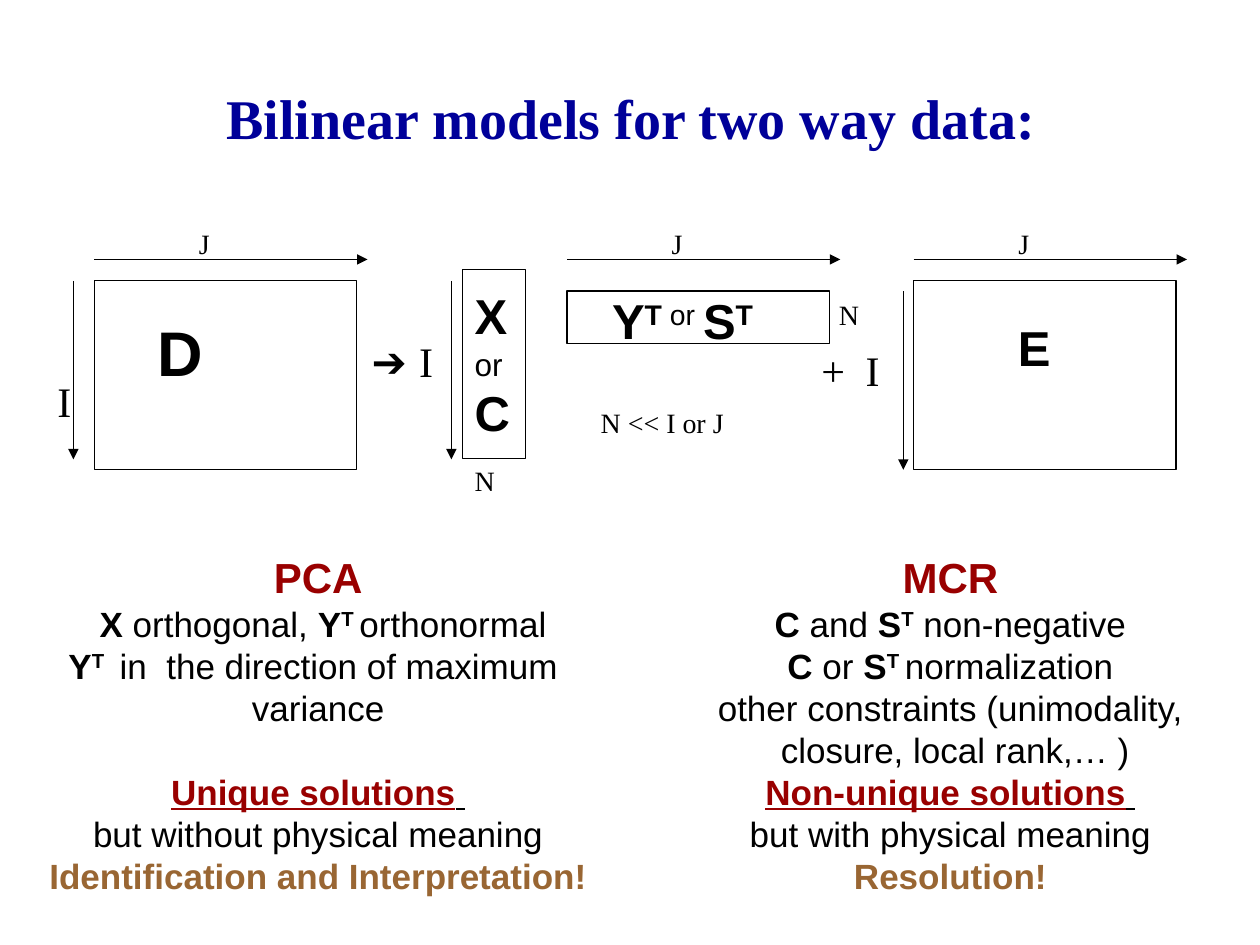
from lxml import etree
from pptx import Presentation
from pptx.dml.color import RGBColor
from pptx.enum.shapes import MSO_CONNECTOR, MSO_SHAPE
from pptx.enum.text import PP_ALIGN
from pptx.oxml.ns import qn
from pptx.util import Cm, Pt

RECTANGLE = MSO_SHAPE.RECTANGLE
STRAIGHT = MSO_CONNECTOR.STRAIGHT
LEFT = PP_ALIGN.LEFT
CENTER = PP_ALIGN.CENTER

SANS = "Arial"
SERIF = "Times New Roman"
BLACK, NAVY, RED, BROWN = "000000", "000099", "990000", "996633"
LINE_HEIGHT = 1.2
LINE_WIDTH = 0.75


def color(value):
    return RGBColor.from_string(value)


def run(text, size=20, fill=BLACK, bold=False, underline=False, raised=False):
    return dict(text=text, size=size, fill=fill, bold=bold,
                underline=underline, raised=raised)


def strong(text, size=20, fill=BLACK):
    return run(text, size, fill, bold=True)


def transposed(letter, size=20, after=" "):
    return [strong(letter, size),
            run("T" + after, size, bold=True, raised=True)]


def add_run(para, item, face):
    span = para.add_run()
    span.text = item["text"]
    font = span.font
    font.name = face
    font.size = Pt(item["size"])
    font.bold = item["bold"]
    font.underline = item["underline"]
    font.color.rgb = color(item["fill"])
    if item["raised"]:
        span._r.get_or_add_rPr().set("baseline", "30000")


def add_text(page, left, top, width, height, lines, face=SERIF, align=LEFT,
             gaps=None):
    box = page.shapes.add_textbox(Cm(left), Cm(top), Cm(width), Cm(height))
    frame = box.text_frame
    frame.word_wrap = False
    for index, items in enumerate(lines):
        para = frame.add_paragraph() if index else frame.paragraphs[0]
        para.alignment = align
        para.line_spacing = Pt(LINE_HEIGHT * max(item["size"] for item in items))
        if gaps and index in gaps:
            para.space_before = Pt(gaps[index])
        for item in items:
            add_run(para, item, face)


def add_matrix(page, left, top, width, height):
    box = page.shapes.add_shape(RECTANGLE, Cm(left), Cm(top), Cm(width), Cm(height))
    box.shadow.inherit = False
    box.fill.background()
    box.line.color.rgb = color(BLACK)
    box.line.width = Pt(LINE_WIDTH)


def add_arrow(page, left, top, across=0, down=0):
    arrow = page.shapes.add_connector(
        STRAIGHT, Cm(left), Cm(top), Cm(left + across), Cm(top + down))
    arrow.line.color.rgb = color(BLACK)
    arrow.line.width = Pt(LINE_WIDTH)
    etree.SubElement(arrow.line._get_or_add_ln(), qn("a:tailEnd"), type="triangle")
    etree.SubElement(arrow._element.spPr, qn("a:effectLst"))


def add_diagram(page):
    for left, top, width, height in (
            (1.9, 5.66, 5.29, 3.81), (9.32, 5.44, 1.27, 3.81),
            (11.43, 5.87, 5.29, 1.06), (18.42, 5.66, 5.29, 3.81)):
        add_matrix(page, left, top, width, height)

    for left in (1.9, 11.43, 18.42):
        add_arrow(page, left, 5.23, across=5.51)
        add_text(page, left + 1.86, 4.45, 0.71, 0.94, [[run("J", 16)]])
    for left, top in ((1.48, 5.66), (9.1, 5.66), (18.21, 5.87)):
        add_arrow(page, left, top, down=3.6)

    for text, size, left, top, width in (
            ("I", 24, 0.91, 7.44, 0.79), ("I", 24, 8.2, 6.63, 0.79),
            ("I", 24, 17.2, 6.83, 0.79), ("+", 24, 16.31, 6.83, 0.99),
            ("N", 16, 9.32, 9.22, 0.91), ("N", 16, 16.66, 5.87, 0.91),
            ("N << I or J", 16, 11.86, 8.05, 3.3)):
        add_text(page, left, top, width, size * 0.05, [[run(text, size)]])

    for lines, left, top, width, height in (
            ([[run("➔", 24)]], 7.24, 6.63, 1.35, 1.27),
            ([[strong("D", 36)]], 2.92, 6.2, 1.42, 1.78),
            ([[strong("E", 28)]], 20.27, 6.27, 1.17, 1.45),
            ([[strong("X", 28)], [run("or", 18)], [strong("C", 28)]],
             9.32, 5.64, 1.22, 3.4),
            ([transposed("Y", 28) + [run("or ", 28, raised=True)]
              + transposed("S", 28, after="")], 12.09, 5.74, 4.6, 1.45)):
        add_text(page, left, top, width, height, lines, SANS)


def verdict(solutions, meaning, purpose):
    return [[run(solutions, fill=RED, bold=True, underline=True),
             run(" ", underline=True)],
            [run(meaning)],
            [strong(purpose, fill=BROWN)]]


def add_comparison(page):
    pca = [[strong("PCA", 24, RED)],
           [run(" "), strong("X"), run(" orthogonal, "), *transposed("Y"),
            run("orthonormal")],
           [*transposed("Y"), run(" in  the direction of maximum ")],
           [run("variance")],
           *verdict("Unique solutions", "but without physical meaning",
                    "Identification and Interpretation!")]
    mcr = [[strong("MCR", 24, RED)],
           [strong("C"), run(" and "), *transposed("S", after=""),
            run(" non-negative")],
           [strong("C"), run(" or "), *transposed("S"), run("normalization")],
           [run("other constraints (unimodality,")],
           [run(" closure, local rank,… )")],
           *verdict("Non-unique solutions", "but with physical meaning",
                    "Resolution!")]
    add_text(page, 0.74, 11, 11.35, 7.21, pca, SANS, CENTER, gaps={4: 24})
    add_text(page, 13.76, 11, 10.8, 7.21, mcr, SANS, CENTER)


def main():
    deck = Presentation()
    deck.slide_width = Cm(25.4)
    deck.slide_height = Cm(19.05)
    page = deck.slides.add_slide(deck.slide_layouts[6])
    add_comparison(page)
    add_diagram(page)
    add_text(page, 4.32, 1.55, 16.87, 1.63,
             [[strong("Bilinear models for two way data:", 32, NAVY)]])
    deck.save("out.pptx")


if __name__ == "__main__":
    main()
